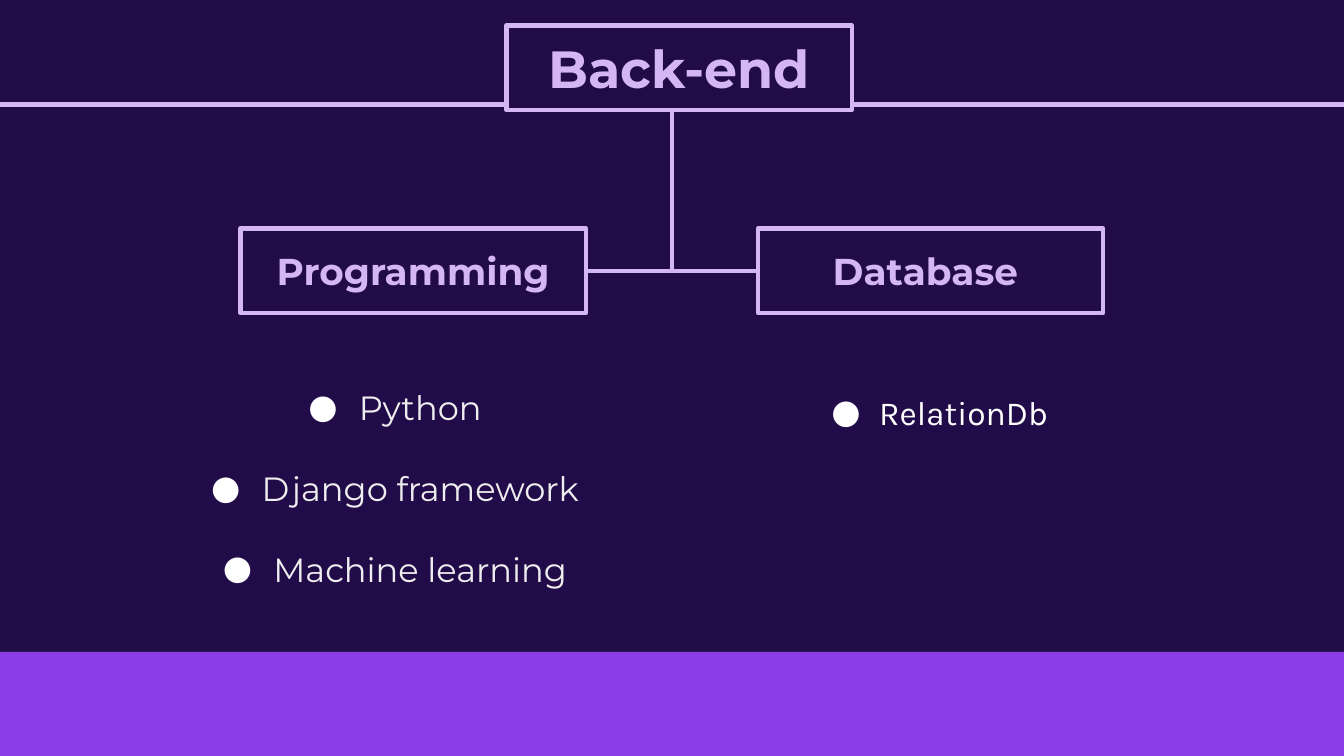
from lxml import etree
from pptx import Presentation
from pptx.dml.color import RGBColor
from pptx.enum.shapes import MSO_CONNECTOR, MSO_SHAPE
from pptx.enum.text import MSO_ANCHOR, PP_ALIGN
from pptx.oxml.ns import qn
from pptx.util import Pt

RECTANGLE = MSO_SHAPE.RECTANGLE
STRAIGHT = MSO_CONNECTOR.STRAIGHT
CENTER = PP_ALIGN.CENTER
TOP, MIDDLE = MSO_ANCHOR.TOP, MSO_ANCHOR.MIDDLE
LEFT_SIDE, RIGHT_SIDE = 1, 3

WIDTH, HEIGHT = 720, 405
BAND_TOP = 349.2
BOX_WIDTH, BOX_HEIGHT = 185, 45.4
BRANCH_TOP = 122.4
BRANCH_MIDDLE = BRANCH_TOP + BOX_HEIGHT / 2
RULE_Y = 56
DARK, LILAC, PURPLE = "220B49", "D4B6F6", "8C3EE6"
WHITE, PALE = "FFFFFF", "EEEEEE"
HEADING_FONT, BODY_FONT = "Montserrat", "Karla"

BOXES = {
    "root": ("Back-end", 271.4, 13.7, 28),
    "programming": ("Programming", 128.9, BRANCH_TOP, 20),
    "database": ("Database ", 406.1, BRANCH_TOP, 20),
}
LISTS = [
    {
        "items": ["Python", "Django framework", "Machine learning"],
        "frame": (73.4, 178.6, 276.5, 108.7),
        "font": {"name": HEADING_FONT, "size": Pt(18)},
        "text_color": PALE,
        "indent": (27, -27),
    },
    {
        "items": ["RelationDb"],
        "frame": (396.7, 181.4, 203, 114.5),
        "font": {"name": BODY_FONT, "size": Pt(18)},
        "text_color": WHITE,
        "indent": (36, -25.5),
    },
]


def color(value):
    return RGBColor.from_string(value)


def set_attributes(target, values):
    for name, value in values.items():
        setattr(target, name, value)


def prepare_frame(shape, anchor):
    margins = dict.fromkeys(
        ("margin_left", "margin_top", "margin_right", "margin_bottom"), Pt(7.2)
    )
    set_attributes(
        shape.text_frame, {"word_wrap": True, "vertical_anchor": anchor, **margins}
    )
    return shape.text_frame


def write(paragraph, text, font, text_color):
    paragraph.alignment = CENTER
    run = paragraph.add_run()
    run.text = text
    set_attributes(run.font, font)
    run.font.color.rgb = color(text_color)


def style_line(line):
    line.color.rgb = color(LILAC)
    line.width = Pt(2.25)


def add_rectangle(slide, frame, fill):
    shape = slide.shapes.add_shape(RECTANGLE, *map(Pt, frame))
    shape.shadow.inherit = False
    shape.fill.solid()
    shape.fill.fore_color.rgb = color(fill)
    shape.line.fill.background()
    return shape


def add_line(slide, *ends):
    connector = slide.shapes.add_connector(STRAIGHT, *map(Pt, ends))
    style_line(connector.line)
    etree.SubElement(connector._element.spPr, qn("a:effectLst"))
    return connector


def add_box(slide, text, left, top, size):
    shape = add_rectangle(slide, (left, top, BOX_WIDTH, BOX_HEIGHT), DARK)
    style_line(shape.line)
    font = {"name": HEADING_FONT, "size": Pt(size), "bold": True}
    write(prepare_frame(shape, MIDDLE).paragraphs[0], text, font, LILAC)
    return shape


def add_bullet(paragraph, indent):
    properties = paragraph._p.get_or_add_pPr()
    for name, value in zip(("marL", "indent"), indent):
        properties.set(name, str(int(Pt(value))))
    bullet_color = etree.SubElement(properties, qn("a:buClr"))
    etree.SubElement(bullet_color, qn("a:srgbClr"), val=WHITE)
    etree.SubElement(properties, qn("a:buFont"), typeface=BODY_FONT)
    etree.SubElement(properties, qn("a:buChar"), char="●")


def add_list(slide, items, frame, font, text_color, indent):
    shape = slide.shapes.add_textbox(*map(Pt, frame))
    text_frame = prepare_frame(shape, TOP)
    for index, item in enumerate(items):
        paragraph = text_frame.add_paragraph() if index else text_frame.paragraphs[0]
        write(paragraph, item, font, text_color)
        paragraph.line_spacing = 2.0
        add_bullet(paragraph, indent)


def main():
    """Build the back-end technology tree slide."""
    presentation = Presentation()
    set_attributes(
        presentation, {"slide_width": Pt(WIDTH), "slide_height": Pt(HEIGHT)}
    )
    slide = presentation.slides.add_slide(presentation.slide_layouts[6])
    slide.background.fill.solid()
    slide.background.fill.fore_color.rgb = color(DARK)

    add_line(slide, WIDTH / 2, BRANCH_MIDDLE, WIDTH / 2, RULE_Y)
    add_line(slide, 0, RULE_Y, WIDTH, RULE_Y)
    add_rectangle(slide, (0, BAND_TOP, WIDTH, HEIGHT - BAND_TOP), PURPLE)

    boxes = {name: add_box(slide, *box) for name, box in BOXES.items()}
    branch = add_line(slide, 0, BRANCH_MIDDLE, WIDTH, BRANCH_MIDDLE)
    branch.begin_connect(boxes["programming"], RIGHT_SIDE)
    branch.end_connect(boxes["database"], LEFT_SIDE)

    for bullet_list in LISTS:
        add_list(slide, **bullet_list)
    presentation.save("out.pptx")


if __name__ == "__main__":
    main()
